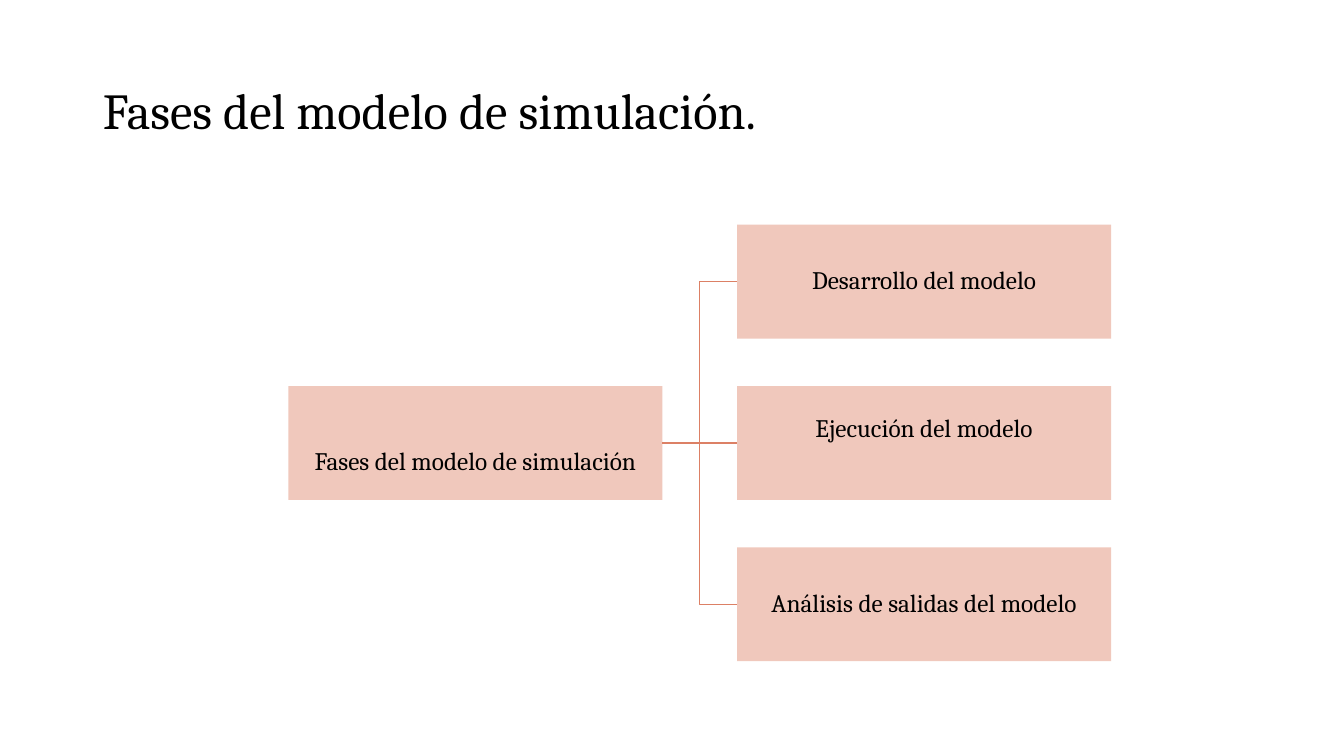
from lxml import etree
from pptx import Presentation
from pptx.dml.color import RGBColor
from pptx.enum.shapes import MSO_CONNECTOR, MSO_SHAPE
from pptx.enum.text import MSO_ANCHOR, PP_ALIGN
from pptx.oxml.ns import qn
from pptx.util import Emu, Pt

RECTANGLE = MSO_SHAPE.RECTANGLE
ELBOW, STRAIGHT = MSO_CONNECTOR.ELBOW, MSO_CONNECTOR.STRAIGHT
LEFT, CENTER, MIDDLE = PP_ALIGN.LEFT, PP_ALIGN.CENTER, MSO_ANCHOR.MIDDLE
PX = 9144
BOX_WIDTH, BOX_HEIGHT = 371, 113
ROOT_LEFT, PHASE_LEFT = 286, 731
FIRST_TOP, ROW_STEP = 223, 160
LEFT_SIDE, RIGHT_SIDE = 1, 3


def color(hex_value):
    return RGBColor.from_string(hex_value)


def write(shape, text, size, align, margins):
    frame = shape.text_frame
    frame.text = text
    frame_format = {"word_wrap": True, "vertical_anchor": MIDDLE}
    for side, length in zip(("left", "top", "right", "bottom"), margins):
        frame_format[f"margin_{side}"] = Emu(length * PX)
    for name, value in frame_format.items():
        setattr(frame, name, value)
    paragraph = frame.paragraphs[0]
    paragraph.alignment = align
    paragraph.line_spacing = 0.9
    for name, value in {"name": "Cambria", "size": Pt(size)}.items():
        setattr(paragraph.font, name, value)
    paragraph.font.color.rgb = color("000000")


prs = Presentation()
prs.slide_width, prs.slide_height = Emu(1333 * PX), Emu(750 * PX)
slide = prs.slides.add_slide(prs.slide_layouts[5])

title = slide.shapes.title
for name, value in {"left": 92, "top": 77, "width": 1150, "height": 70}.items():
    setattr(title, name, Emu(value * PX))
write(title, "Fases del modelo de simulación.", 36, LEFT, (10, 5, 10, 5))

diagram = [
    ("Fases del modelo de simulación", ROOT_LEFT, 1, (1, 40, 1, 1)),
    ("Desarrollo del modelo", PHASE_LEFT, 0, (1, 1, 1, 1)),
    ("Ejecución del modelo", PHASE_LEFT, 1, (1, 1, 1, 29)),
    ("Análisis de salidas del modelo", PHASE_LEFT, 2, (1, 1, 1, 1)),
]
boxes = []
for text, left, row, margins in diagram:
    bounds = (left, FIRST_TOP + row * ROW_STEP, BOX_WIDTH, BOX_HEIGHT)
    box = slide.shapes.add_shape(RECTANGLE, *(Emu(v * PX) for v in bounds))
    box.shadow.inherit = False
    box.fill.solid()
    box.fill.fore_color.rgb = color("F0C8BC")
    box.line.fill.background()
    write(box, text, 18, CENTER, margins)
    boxes.append(box)

root, *phases = boxes
for phase in phases:
    kind = STRAIGHT if phase.top == root.top else ELBOW
    branch = slide.shapes.add_connector(kind, 0, 0, 0, 0)
    branch.begin_connect(root, RIGHT_SIDE)
    branch.end_connect(phase, LEFT_SIDE)
    branch.line.color.rgb = color("DC8065")
    branch.line.width = Pt(1)
    etree.SubElement(branch.line._get_or_add_ln().getparent(), qn("a:effectLst"))

prs.save("out.pptx")
